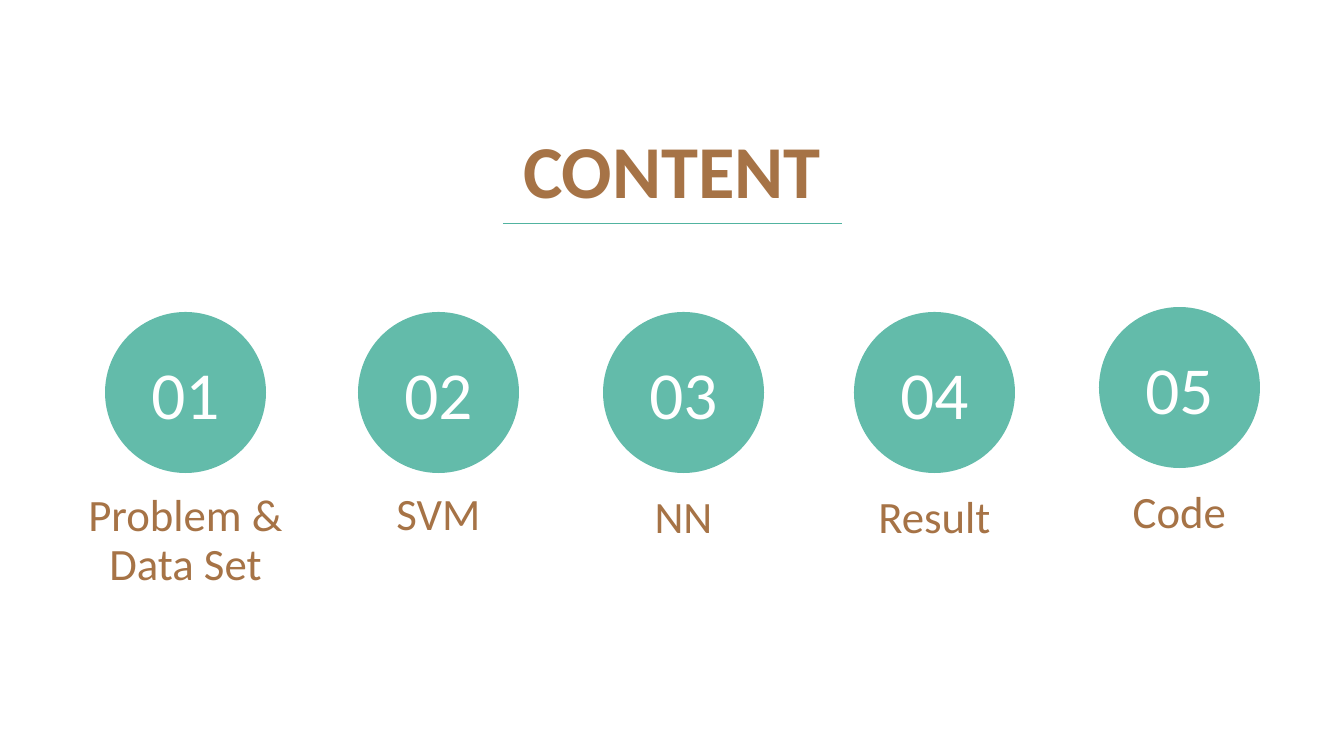
from dataclasses import dataclass

from lxml.etree import SubElement
from pptx import Presentation
from pptx.dml.color import RGBColor
from pptx.enum.shapes import MSO_CONNECTOR, MSO_SHAPE
from pptx.enum.text import MSO_ANCHOR, MSO_AUTO_SIZE, PP_ALIGN
from pptx.oxml.ns import qn
from pptx.slide import Slide
from pptx.text.text import TextFrame
from pptx.util import Emu, Pt

SLIDE_WIDTH, SLIDE_HEIGHT = 1344, 756
EMU_PER_PX = 12192000 / SLIDE_WIDTH
FONT = "Calibri"
COLOURS = {"teal": "63BBAA", "rule": "51B3A0", "brown": "A67346", "white": "FFFFFF"}
CIRCLE_SIZE = 161


@dataclass(frozen=True)
class Topic:
    label: str
    left: int
    top: int
    label_top: int
    label_width: int = 274
    label_height: int = 29


TOPICS = [
    Topic("Problem & Data Set", 105, 312, 488, label_width=288, label_height=43),
    Topic("SVM", 358, 312, 487),
    Topic("NN", 603, 312, 490),
    Topic("Result", 854, 312, 490),
    Topic("Code", 1099, 307, 485),
]


def px(length: float) -> Emu:
    return Emu(round(length * EMU_PER_PX))


def colour(name: str) -> RGBColor:
    return RGBColor.from_string(COLOURS[name])


def write(frame: TextFrame, text: str, *, size: float, ink: str, bold: bool = False,
          wrap: bool = True, anchor: MSO_ANCHOR = MSO_ANCHOR.TOP,
          auto_size: MSO_AUTO_SIZE = MSO_AUTO_SIZE.NONE,
          line_spacing: float = 1.0, space_before: int = 0) -> None:
    frame.word_wrap = wrap
    frame.auto_size = auto_size
    frame.vertical_anchor = anchor
    paragraph = frame.paragraphs[0]
    paragraph.alignment = PP_ALIGN.CENTER
    paragraph.line_spacing = line_spacing
    paragraph.space_before = Pt(space_before)
    run = paragraph.add_run()
    run.text = text
    run.font.name = FONT
    run.font.size = Pt(size)
    run.font.bold = bold
    run.font.color.rgb = colour(ink)


def draw_heading(slide: Slide) -> None:
    heading = slide.shapes.title
    heading.left, heading.top = px(511), px(119)
    heading.width, heading.height = px(322), px(101)
    write(heading.text_frame, "CONTENT", size=53.3, ink="brown", bold=True,
          wrap=False, auto_size=MSO_AUTO_SIZE.SHAPE_TO_FIT_TEXT)

    underline = slide.shapes.add_connector(
        MSO_CONNECTOR.STRAIGHT, px(503), px(223), px(842), px(223))
    underline.line.color.rgb = colour("rule")
    underline.line.width = Pt(0.5)
    SubElement(underline._element.spPr, qn("a:effectLst"))


def draw_topic(slide: Slide, number: int, topic: Topic) -> None:
    group = slide.shapes.add_group_shape()

    circle = group.shapes.add_shape(
        MSO_SHAPE.OVAL, px(topic.left), px(topic.top), px(CIRCLE_SIZE), px(CIRCLE_SIZE))
    circle.shadow.inherit = False
    circle.fill.solid()
    circle.fill.fore_color.rgb = colour("teal")
    circle.line.fill.background()
    write(circle.text_frame, f"{number:02d}", size=48, ink="white",
          anchor=MSO_ANCHOR.MIDDLE)

    # The label is centred under its circle
    label_left = topic.left + (CIRCLE_SIZE - topic.label_width) / 2
    label = group.shapes.add_textbox(
        px(label_left), px(topic.label_top), px(topic.label_width), px(topic.label_height))
    write(label.text_frame, topic.label, size=32, ink="brown",
          line_spacing=0.9, space_before=20)


def main() -> None:
    deck = Presentation()
    deck.slide_width, deck.slide_height = px(SLIDE_WIDTH), px(SLIDE_HEIGHT)
    title_only = deck.slide_layouts[5]
    slide = deck.slides.add_slide(title_only)

    # Heading and its underline
    draw_heading(slide)

    # Row of numbered topics
    for number, topic in enumerate(TOPICS, start=1):
        draw_topic(slide, number, topic)

    deck.save("out.pptx")


if __name__ == "__main__":
    main()
